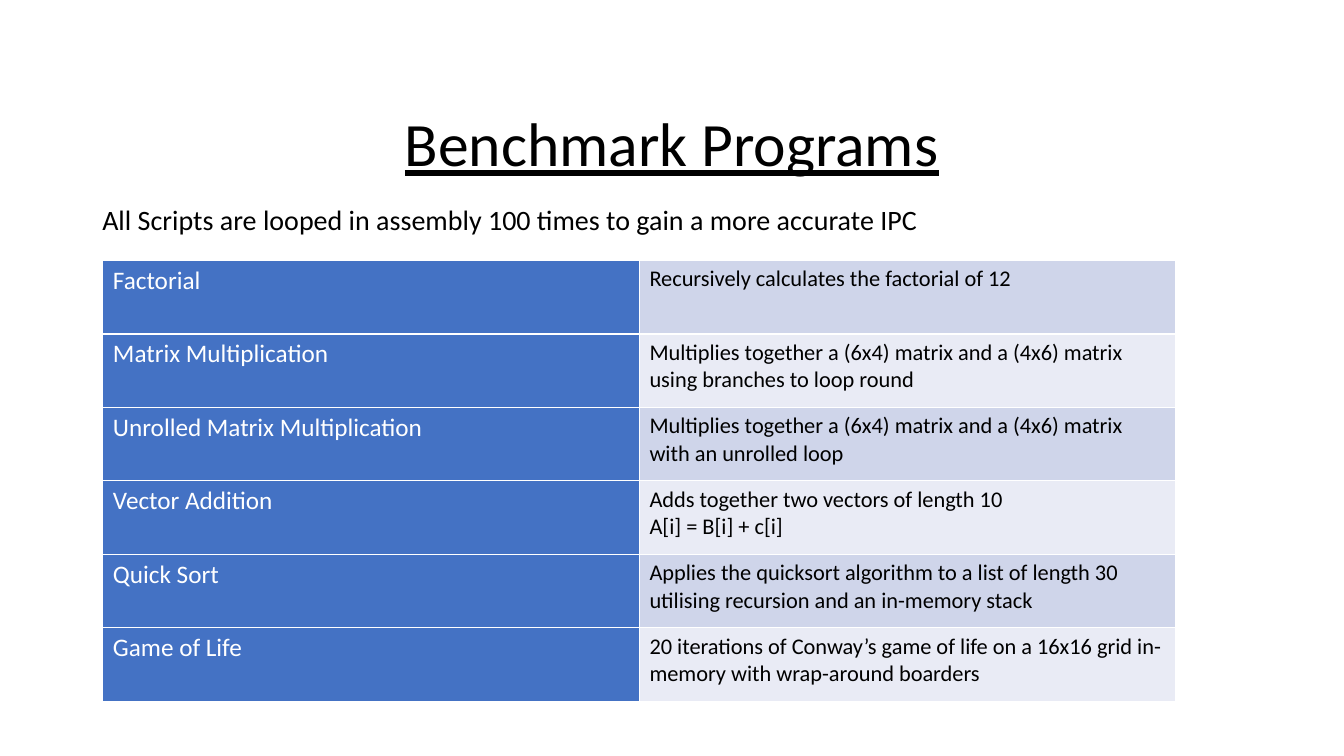
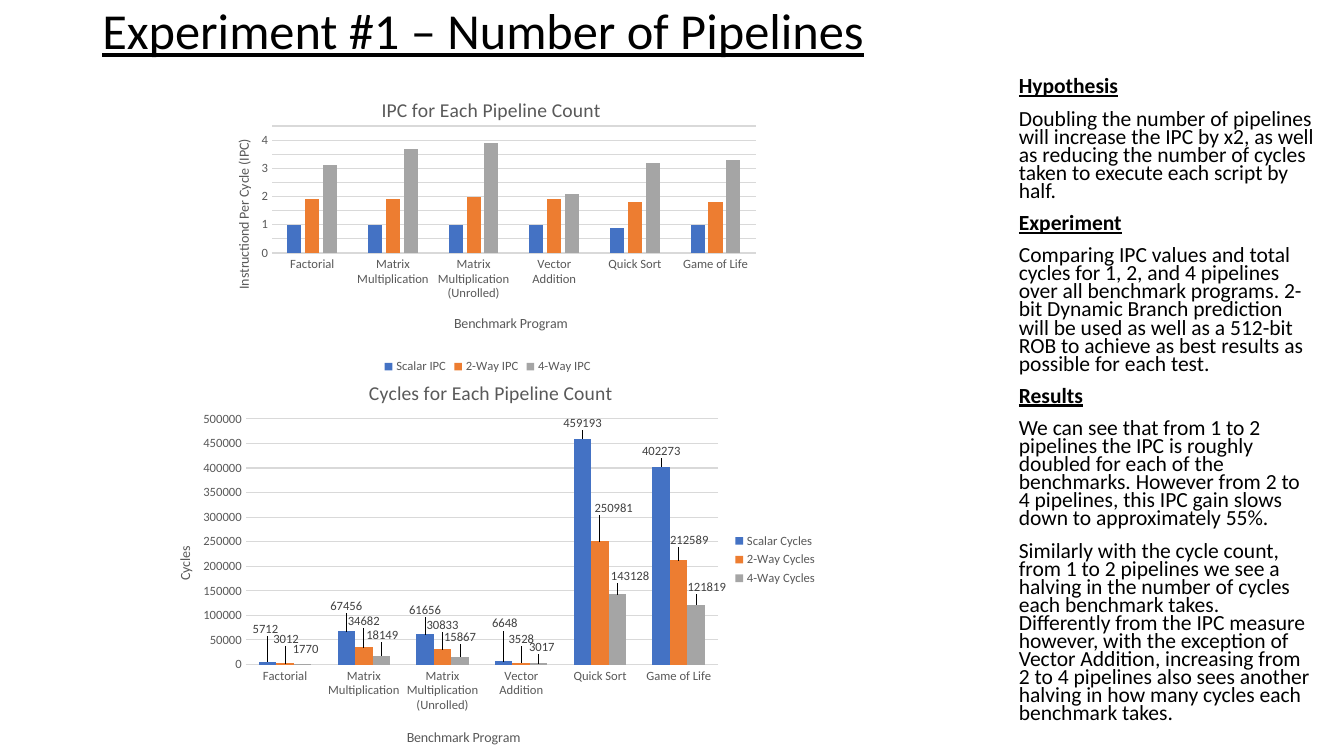
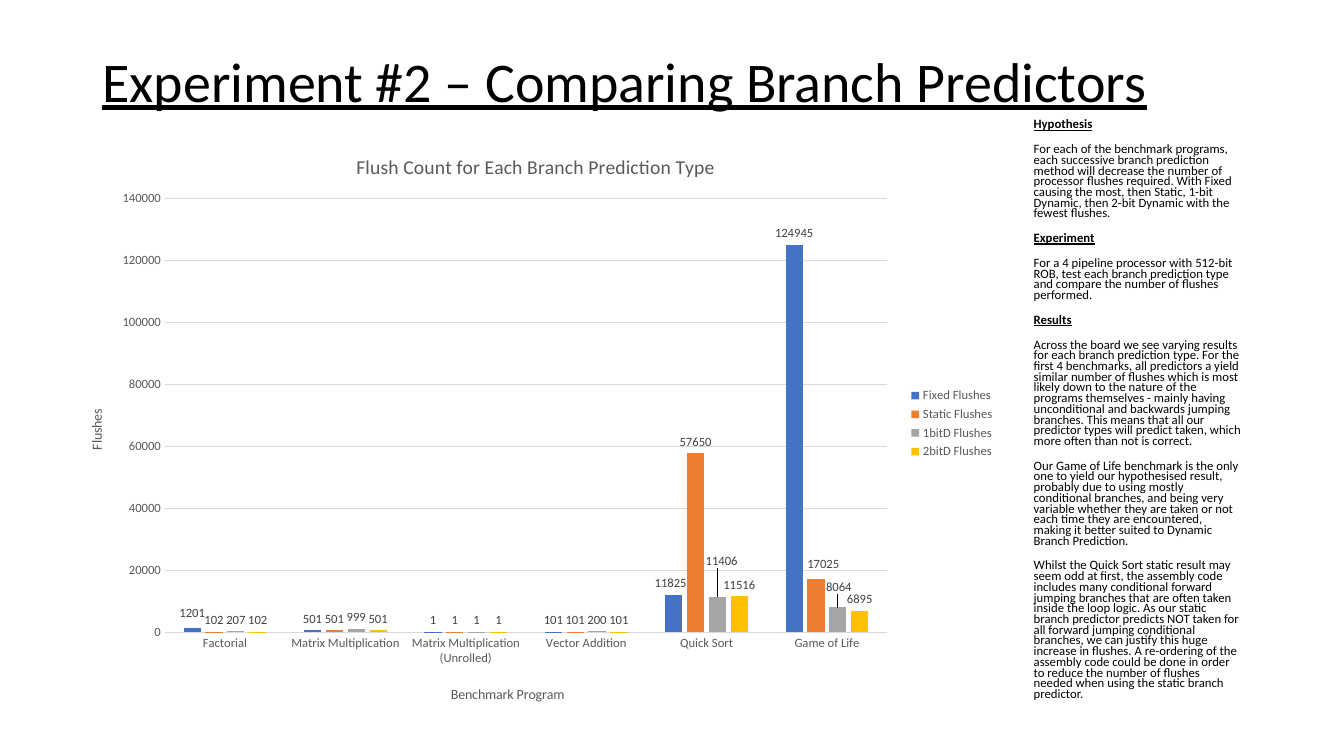
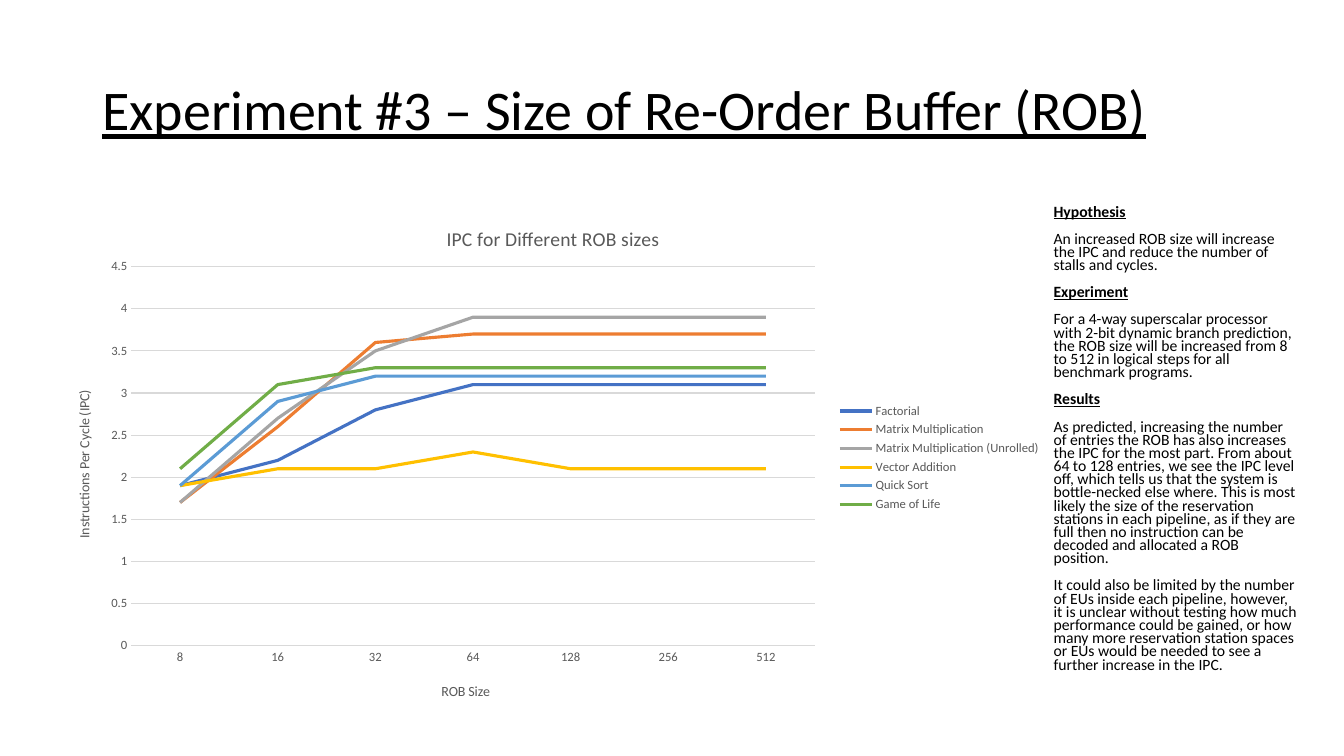
from dataclasses import dataclass

from pptx import Presentation, util as u
from pptx.chart.data import CategoryChartData
from pptx.dml.color import RGBColor
from pptx.enum import chart as ch, text as tx
from pptx.oxml import parse_xml
from pptx.oxml.ns import nsdecls


@dataclass(frozen=True)
class Theme:
    font: str = "Calibri"
    ink: str = "000000"
    white: str = "FFFFFF"
    chart_text: str = "595959"
    label_text: str = "404040"
    grid: str = "D9D9D9"
    series: tuple = ("4472C4", "ED7D31", "A5A5A5", "FFC000", "5B9BD5", "70AD47")
    name_fill: str = "4472C4"
    row_fills: tuple = ("CFD5EA", "E9EBF5")
    lead_size: int = 20
    name_size: int = 18
    detail_size: int = 16
    chart_title_size: int = 14
    axis_title_size: int = 10
    chart_size: int = 9


THEME = Theme()
HEADINGS = ("Hypothesis", "Experiment", "Results")
MARGIN, CONTENT_WIDTH = 88, 1104

PROGRAMS = [
    ("Factorial", "Recursively calculates the factorial of 12"),
    ("Matrix Multiplication",
     "Multiplies together a (6x4) matrix and a (4x6) matrix using branches to loop round"),
    ("Unrolled Matrix Multiplication",
     "Multiplies together a (6x4) matrix and a (4x6) matrix with an unrolled loop"),
    ("Vector Addition", "Adds together two vectors of length 10\nA[i] = B[i] + c[i]"),
    ("Quick Sort",
     "Applies the quicksort algorithm to a list of length 30 utilising recursion "
     "and an in-memory stack"),
    ("Game of Life",
     "20 iterations of Conway’s game of life on a 16x16 grid in-memory with "
     "wrap-around boarders"),
]
BENCHMARKS = ["Factorial", "Matrix Multiplication", "Matrix Multiplication (Unrolled)",
              "Vector Addition", "Quick Sort", "Game of Life"]

PIPELINE_NOTES = [
    "Hypothesis",
    "Doubling the number of pipelines will increase the IPC by x2, as well as reducing "
    "the number of cycles taken to execute each script by half.",
    "Experiment",
    "Comparing IPC values and total cycles for 1, 2, and 4 pipelines over all benchmark "
    "programs. 2-bit Dynamic Branch prediction will be used as well as a 512-bit ROB to "
    "achieve as best results as possible for each test.",
    "Results",
    "We can see that from 1 to 2 pipelines the IPC is roughly doubled for each of the "
    "benchmarks. However from 2 to 4 pipelines, this IPC gain slows down to "
    "approximately 55%.",
    "Similarly with the cycle count, from 1 to 2 pipelines we see a halving in the number "
    "of cycles each benchmark takes. Differently from the IPC measure however, with the "
    "exception of Vector Addition, increasing from 2 to 4 pipelines also sees another "
    "halving in how many cycles each benchmark takes.",
]
PREDICTOR_NOTES = [
    "Hypothesis",
    "For each of the benchmark programs, each successive branch prediction method will "
    "decrease the number of processor flushes required. With Fixed causing the most, then "
    "Static, 1-bit Dynamic, then 2-bit Dynamic with the fewest flushes.",
    "Experiment",
    "For a 4 pipeline processor with 512-bit ROB, test each branch prediction type and "
    "compare the number of flushes performed.",
    "Results",
    "Across the board we see varying results for each branch prediction type. For the "
    "first 4 benchmarks, all predictors a yield similar number of flushes which is most "
    "likely down to the nature of the programs themselves - mainly having unconditional "
    "and backwards jumping branches. This means that all our predictor types will predict "
    "taken, which more often than not is correct.",
    "Our Game of Life benchmark is the only one to yield our hypothesised result, probably "
    "due to using mostly conditional branches, and being very variable whether they are "
    "taken or not each time they are encountered, making it better suited to Dynamic "
    "Branch Prediction.",
    "Whilst the Quick Sort static result may seem odd at first, the assembly code includes "
    "many conditional forward jumping branches that are often taken inside the loop logic. "
    "As our static branch predictor predicts NOT taken for all forward jumping conditional "
    "branches, we can justify this huge increase in flushes. A re-ordering of the assembly "
    "code could be done in order to reduce the number of flushes needed when using the "
    "static branch predictor.",
]
BUFFER_NOTES = [
    "Hypothesis",
    "An increased ROB size will increase the IPC and reduce the number of stalls and cycles.",
    "Experiment",
    "For a 4-way superscalar processor with 2-bit dynamic branch prediction, the ROB size "
    "will be increased from 8 to 512 in logical steps for all benchmark programs.",
    "Results",
    "As predicted, increasing the number of entries the ROB has also increases the IPC for "
    "the most part. From about 64 to 128 entries, we see the IPC level off, which tells us "
    "that the system is bottle-necked else where. This is most likely the size of the "
    "reservation stations in each pipeline, as if they are full then no instruction can be "
    "decoded and allocated a ROB position.",
    "It could also be limited by the number of EUs inside each pipeline, however, it is "
    "unclear without testing how much performance could be gained, or how many more "
    "reservation station spaces or EUs would be needed to see a further increase in the IPC.",
]

PIPELINE_IPC = {
    "Scalar IPC": [1, 1, 1, 1, 0.9, 1],
    "2-Way IPC": [1.9, 1.9, 2, 1.9, 1.8, 1.8],
    "4-Way IPC": [3.1, 3.7, 3.9, 2.1, 3.2, 3.3],
}
PIPELINE_CYCLES = {
    "Scalar Cycles": [5712, 67456, 61656, 6648, 459193, 402273],
    "2-Way Cycles": [3012, 34682, 30833, 3528, 250981, 212589],
    "4-Way Cycles": [1770, 18149, 15867, 3017, 143128, 121819],
}
FLUSHES = {
    "Fixed Flushes": [1201, 501, 1, 101, 11825, 124945],
    "Static Flushes": [102, 501, 1, 101, 57650, 17025],
    "1bitD Flushes": [207, 999, 1, 200, 11406, 8064],
    "2bitD Flushes": [102, 501, 1, 101, 11516, 6895],
}
BUFFER_IPC = dict(zip(BENCHMARKS, [
    [1.9, 2.2, 2.8, 3.1, 3.1, 3.1, 3.1],
    [1.7, 2.6, 3.6, 3.7, 3.7, 3.7, 3.7],
    [1.7, 2.7, 3.5, 3.9, 3.9, 3.9, 3.9],
    [1.9, 2.1, 2.1, 2.3, 2.1, 2.1, 2.1],
    [1.9, 2.9, 3.2, 3.2, 3.2, 3.2, 3.2],
    [2.1, 3.1, 3.3, 3.3, 3.3, 3.3, 3.3],
]))

# Label shifts in px, by (series, point)
CYCLE_SHIFTS = {
    (0, 0): (-2, -20), (0, 1): (0, -13), (0, 2): (0, -12),
    (0, 3): (1, -25), (0, 4): (0, -4), (0, 5): (0, -4),
    (1, 0): (1, -12), (1, 1): (0, -14), (1, 2): (0, -12),
    (1, 3): (0, -12), (1, 4): (13, -21), (1, 5): (10, -8),
    (2, 0): (3, -3), (2, 1): (1, -9), (2, 2): (0, -8),
    (2, 3): (3, -4), (2, 4): (12, -6), (2, 5): (10, -6),
}
FLUSH_SHIFTS = {(0, 0): (0, -4), (0, 4): (-3, -1), (1, 5): (7, -4),
                (2, 4): (4, -23), (2, 5): (1, -8)}


# Basics
def px(value):
    return u.Emu(value * 9525)


def box(*lengths):
    return [px(length) for length in lengths]


def rgb(color):
    return RGBColor.from_string(color)


def style(font, size, color=THEME.ink, bold=False, underline=None):
    font.name, font.size, font.bold = THEME.font, u.Pt(size), bold
    font.color.rgb = rgb(color)
    if underline is not None:
        font.underline = underline


def add_slide(presentation):
    return presentation.slides.add_slide(presentation.slide_layouts[6])


# Text
def add_text(slide, area, paragraphs, size, spacing, headings=(), before=0,
             align=None, anchor=tx.MSO_ANCHOR.TOP):
    frame = slide.shapes.add_textbox(*box(*area)).text_frame
    frame.word_wrap = True
    frame.vertical_anchor = anchor
    frame.text = "\n".join(paragraphs)
    for paragraph in frame.paragraphs:
        paragraph.line_spacing = spacing
        paragraph.space_before = u.Pt(before)
        paragraph.alignment = align
        heading = paragraph.text in headings
        for run in paragraph.runs:
            style(run.font, size, bold=heading, underline=heading)
    return frame


def add_title(slide, title, top, height, size, align=None):
    frame = add_text(slide, (MARGIN, top, CONTENT_WIDTH, height), [title], size, 0.9,
                     align=align, anchor=tx.MSO_ANCHOR.MIDDLE)
    frame.paragraphs[0].runs[0].font.underline = True


def add_notes_column(slide, area, paragraphs, size):
    add_text(slide, area, paragraphs, size, 0.7, HEADINGS, before=10)


# Table
def set_borders(cell, color):
    properties = cell._tc.get_or_add_tcPr()
    for index, side in enumerate("LRTB"):
        properties.insert(index, parse_xml(
            f'<a:ln{side} {nsdecls("a")} w="12700"><a:solidFill>'
            f'<a:srgbClr val="{color}"/></a:solidFill></a:ln{side}>'))


def fill_cell(cell, content, fill, size, color):
    cell.text = content
    cell.fill.solid()
    cell.fill.fore_color.rgb = rgb(fill)
    set_borders(cell, THEME.white)
    for paragraph in cell.text_frame.paragraphs:
        for run in paragraph.runs:
            style(run.font, size, color)


def add_program_table(slide, area, programs):
    table = slide.shapes.add_table(len(programs), 2, *box(*area)).table
    table.first_row = table.horz_banding = False
    for index, (name, detail) in enumerate(programs):
        fill_cell(table.cell(index, 0), name, THEME.name_fill, THEME.name_size, THEME.white)
        fill_cell(table.cell(index, 1), detail, THEME.row_fills[index % 2],
                  THEME.detail_size, THEME.ink)


# Charts
def set_layout(parent, index, x, y, size=None):
    """Give a chart part a manual layout, in fractions of the chart."""
    for layout in parent.xpath("c:layout"):
        parent.remove(layout)
    values = []
    if size or parent.tag.endswith("title"):
        values += [("xMode", "edge"), ("yMode", "edge")]
    values += [("x", round(x, 4)), ("y", round(y, 4))]
    if size:
        values = [("layoutTarget", "inner")] + values
        values += [("w", round(size[0], 4)), ("h", round(size[1], 4))]
    items = "".join(f'<c:{name} val="{value}"/>' for name, value in values)
    parent.insert(index, parse_xml(
        f'<c:layout {nsdecls("c")}><c:manualLayout>{items}</c:manualLayout></c:layout>'))


def set_chart_title(owner, title, size):
    owner.has_title = True
    frame = owner.chart_title.text_frame if hasattr(owner, "chart_title") \
        else owner.axis_title.text_frame
    frame.text = title
    style(frame.paragraphs[0].runs[0].font, size, THEME.chart_text)


def format_axes(chart):
    for axis in (chart.category_axis, chart.value_axis):
        axis.major_tick_mark = axis.minor_tick_mark = ch.XL_TICK_MARK.NONE
        style(axis.tick_labels.font, THEME.chart_size, THEME.chart_text)
    chart.value_axis.format.line.fill.background()
    for line in (chart.category_axis.format.line,
                 chart.value_axis.major_gridlines.format.line):
        line.color.rgb = rgb(THEME.grid)
        line.width = u.Pt(0.75)


def add_labels(chart, area, shifts):
    for number, series in enumerate(chart.plots[0].series):
        labels = series.data_labels
        labels.show_value = True
        labels.position = ch.XL_LABEL_POSITION.OUTSIDE_END
        style(labels.font, THEME.chart_size, THEME.label_text)
        moves = {point: move for (owner, point), move in shifts.items() if owner == number}
        for point, (dx, dy) in moves.items():
            label = series.points[point].data_label
            label.position = ch.XL_LABEL_POSITION.OUTSIDE_END
            style(label.font, THEME.chart_size, THEME.label_text)
            element = chart.element.xpath(
                f".//c:ser[c:idx/@val='{number}']/c:dLbls/c:dLbl[c:idx/@val='{point}']")[0]
            set_layout(element, 1, dx / area[2], dy / area[3])


def add_chart(slide, kind, area, plot_area, categories, values, titles, places,
              scale, legend=ch.XL_LEGEND_POSITION.RIGHT):
    """titles and places run: chart, category axis, value axis."""
    data = CategoryChartData()
    data.categories = categories
    for name, numbers in values.items():
        data.add_series(name, numbers)
    chart = slide.shapes.add_chart(kind, *box(*area), data).chart
    style(chart.font, THEME.chart_size, THEME.chart_text)
    chart.has_legend = True
    chart.legend.position = legend
    chart.legend.include_in_layout = False
    style(chart.legend.font, THEME.chart_size, THEME.chart_text)
    format_axes(chart)
    chart.value_axis.minimum_scale = 0
    chart.value_axis.maximum_scale, chart.value_axis.major_unit = scale

    owners = (chart, chart.category_axis, chart.value_axis)
    sizes = (THEME.chart_title_size, THEME.axis_title_size, THEME.axis_title_size)
    for owner, title, size in zip(owners, titles, sizes):
        set_chart_title(owner, title, size)
    for body in chart.element.xpath(".//c:valAx/c:title//a:bodyPr"):
        body.set("rot", "-5400000")
        body.set("vert", "horz")

    left, top, width, height = area
    for parent, (x, y) in zip(("c:chart", ".//c:catAx", ".//c:valAx"), places):
        set_layout(chart.element.xpath(f"{parent}/c:title")[0], 1,
                   (x - left) / width, (y - top) / height)
    x, y, plot_width, plot_height = plot_area
    set_layout(chart.element.xpath(".//c:plotArea")[0], 0, (x - left) / width,
               (y - top) / height, (plot_width / width, plot_height / height))
    return chart


def add_column_chart(*args, gap=219, overlap=-27, shifts=None, **options):
    slide, area, *rest = args
    chart = add_chart(slide, ch.XL_CHART_TYPE.COLUMN_CLUSTERED, area, *rest, **options)
    plot = chart.plots[0]
    plot.vary_by_categories = False
    plot.gap_width, plot.overlap = gap, overlap
    for series, color in zip(plot.series, THEME.series):
        series.invert_if_negative = False
        series.format.fill.solid()
        series.format.fill.fore_color.rgb = rgb(color)
    if shifts:
        add_labels(chart, area, shifts)


def add_line_chart(slide, *args, **options):
    chart = add_chart(slide, ch.XL_CHART_TYPE.LINE, *args, **options)
    chart.plots[0].vary_by_categories = False
    for series, color in zip(chart.plots[0].series, THEME.series):
        series.smooth = False
        series.marker.style = ch.XL_MARKER_STYLE.NONE
        series.format.line.color.rgb = rgb(color)
        series.format.line.width = u.Pt(2.25)


# Slides
def add_programs_slide(presentation):
    slide = add_slide(presentation)
    add_title(slide, "Benchmark Programs", 106, 68, 44, tx.PP_ALIGN.CENTER)
    add_text(slide, (MARGIN, 192, CONTENT_WIDTH, 40),
             ["All Scripts are looped in assembly 100 times to gain a more accurate IPC"],
             THEME.lead_size, 0.9, before=10)
    add_program_table(slide, (98, 248, 1022, 420), PROGRAMS)


def add_pipelines_slide(presentation):
    slide = add_slide(presentation)
    add_title(slide, "Experiment #1 – Number of Pipelines", 13, 38, 36)
    add_notes_column(slide, (961, 71, 301, 629), PIPELINE_NOTES, 15.4)
    add_column_chart(
        slide, (198, 71, 533, 289), (259, 120, 461, 121), BENCHMARKS, PIPELINE_IPC,
        ("IPC for Each Pipeline Count", "Benchmark Program", "Instructiond Per Cycle (IPC)"),
        ((360, 88), (430, 297), (221, 130)),
        scale=(4.5, 0.5), legend=ch.XL_LEGEND_POSITION.BOTTOM)
    add_column_chart(
        slide, (141, 340, 647, 386), (234, 399, 450, 234), BENCHMARKS, PIPELINE_CYCLES,
        ("Cycles for Each Pipeline Count", "Benchmark Program", "Cycles"),
        ((348, 358), (385, 691), (165, 518)),
        scale=(500000, 50000), gap=150, overlap=0, shifts=CYCLE_SHIFTS)


def add_predictors_slide(presentation):
    slide = add_slide(presentation)
    add_title(slide, "Experiment #2 – Comparing Branch Predictors", 38, 84, 40)
    add_notes_column(slide, (975, 110, 217, 597), PREDICTOR_NOTES, 9.1)
    add_column_chart(
        slide, (59, 122, 898, 563), (157, 189, 688, 413), BENCHMARKS, FLUSHES,
        ("Flush Count for Each Branch Prediction Type", "Benchmark Program", "Flushes"),
        ((336, 143), (427, 650), (81, 387)),
        scale=(140000, 20000), shifts=FLUSH_SHIFTS)


def add_buffer_slide(presentation):
    slide = add_slide(presentation)
    add_title(slide, "Experiment #3 – Size of Re-Order Buffer (ROB)", 38, 139, 40)
    add_notes_column(slide, (994, 192, 251, 500), BUFFER_NOTES, 11.2)
    add_line_chart(
        slide, (45, 190, 956, 492), (125, 254, 651, 361),
        [str(2 ** power) for power in range(3, 10)], BUFFER_IPC,
        ("IPC for Different ROB sizes", "ROB Size", "Instructions Per Cycle (IPC)"),
        ((422, 211), (418, 647), (69, 369)), scale=(4.5, 0.5))


def main():
    presentation = Presentation()
    presentation.slide_width, presentation.slide_height = box(1280, 720)
    add_programs_slide(presentation)
    add_pipelines_slide(presentation)
    add_predictors_slide(presentation)
    add_buffer_slide(presentation)
    presentation.save("out.pptx")


if __name__ == "__main__":
    main()
